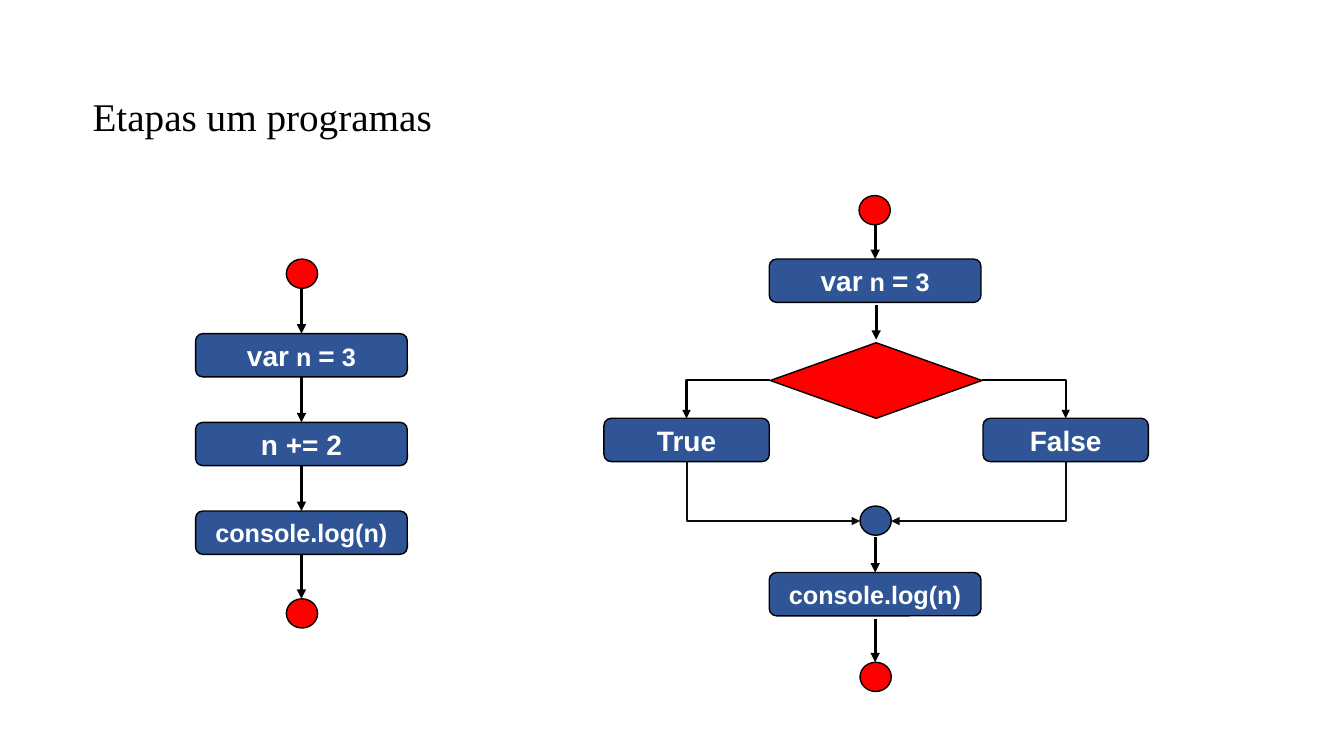
"""Build a slide with a straight and a branching program flow chart."""
from dataclasses import dataclass
from lxml import etree
from pptx import Presentation
from pptx.dml.color import RGBColor
from pptx.enum.shapes import MSO_CONNECTOR, MSO_SHAPE
from pptx.enum.text import MSO_ANCHOR, PP_ALIGN
from pptx.oxml.ns import qn
from pptx.shapes.autoshape import Shape
from pptx.shapes.connector import Connector
from pptx.slide import Slide
from pptx.util import Inches, Pt

RED = RGBColor(0xFF, 0x00, 0x00)
BLUE = RGBColor(0x2F, 0x55, 0x97)
BLACK = RGBColor(0x00, 0x00, 0x00)
DARK = RGBColor(0x0D, 0x0D, 0x0D)
WHITE = RGBColor(0xFF, 0xFF, 0xFF)
DOT = MSO_SHAPE.FLOWCHART_CONNECTOR
BOX = MSO_SHAPE.ROUNDED_RECTANGLE
TEST = MSO_SHAPE.FLOWCHART_DECISION
LINE = MSO_CONNECTOR.STRAIGHT
ELBOW = MSO_CONNECTOR.ELBOW
MIDDLE = MSO_ANCHOR.MIDDLE
CENTER = PP_ALIGN.CENTER
TOP, BOTTOM = 0, 2

Runs = tuple[tuple[str, int], ...]
ASSIGN: Runs = (("var", 20), (" n ", 18), ("=", 20), (" 3", 18))
ADD: Runs = (("n += 2", 20),)
LOG: Runs = (("console.log(n)", 18),)


@dataclass
class Node:
    """A step of a flow chart."""
    key: str
    left: float
    top: float
    width: float = 2.1
    height: float = 0.43
    kind: MSO_SHAPE = BOX
    fill: RGBColor = BLUE
    runs: Runs = ()


@dataclass
class Arrow:
    """A downward arrow, joined to the steps it names."""
    mid: float
    top: float
    foot: float
    source: str = ""
    target: str = ""


@dataclass
class Bend:
    """A link that runs level first and then upright."""
    start: tuple[float, float]
    stop: tuple[float, float]
    color: RGBColor
    tip: str


def dot(key: str, left: float, top: float, fill: RGBColor = RED) -> Node:
    """Describe a round step."""
    return Node(key, left, top, 0.31, 0.29, DOT, fill)


STEP = 0.88
CHAIN = (("set", ASSIGN), ("add", ADD), ("show", LOG))
NODES = [
    dot("start", 2.84, 2.57),
    *(Node(key, 1.94, 3.31 + STEP * i, runs=runs)
      for i, (key, runs) in enumerate(CHAIN)),
    dot("end", 2.84, 5.94),
    dot("begin", 8.52, 1.94),
    Node("assign", 7.63, 2.57, runs=ASSIGN),
    Node("test", 7.64, 3.4, height=0.75, kind=TEST, fill=RED),
    Node("true", 5.99, 4.15, 1.64, runs=(("True", 20),)),
    Node("false", 9.75, 4.15, 1.64, runs=(("False", 20),)),
    dot("merge", 8.53, 5.02, BLUE),
    Node("log", 7.63, 5.68, runs=LOG),
    dot("stop", 8.53, 6.57),
]
KEYS = ["", *(key for key, runs in CHAIN), ""]
ARROWS = [
    *(Arrow(2.99, 2.86 + STEP * i, 3.3 + STEP * i, *pair)
      for i, pair in enumerate(zip(KEYS, KEYS[1:]))),
    Arrow(8.68, 2.23, 2.57, target="assign"),
    Arrow(8.69, 3.03, 3.37),
    Arrow(8.68, 5.33, 5.68, target="log"),
    Arrow(8.68, 6.14, 6.57),
]
BENDS = [
    Bend((7.64, 3.77), (6.81, 4.15), BLACK, "tailEnd"),
    Bend((9.74, 3.77), (10.57, 4.15), BLACK, "tailEnd"),
    Bend((8.84, 5.17), (10.57, 4.58), DARK, "headEnd"),
    Bend((8.53, 5.17), (6.81, 4.58), DARK, "headEnd"),
]


def draw_title(slide: Slide) -> None:
    """Write the heading."""
    box = slide.shapes.add_textbox(
        Inches(0.82), Inches(0.93), Inches(10.29), Inches(0.49))
    frame = box.text_frame
    frame.word_wrap = True
    frame.vertical_anchor = MIDDLE
    frame.text = "Etapas um programas"
    para = frame.paragraphs[0]
    para.line_spacing = 0.9
    font = para.runs[0].font
    font.name, font.size = "Times New Roman", Pt(28)
    font.color.rgb = BLACK


def draw_node(slide: Slide, node: Node) -> Shape:
    """Draw one step with its text."""
    shape = slide.shapes.add_shape(
        node.kind, Inches(node.left), Inches(node.top),
        Inches(node.width), Inches(node.height))
    shape.shadow.inherit = False
    shape.fill.solid()
    shape.fill.fore_color.rgb = node.fill
    shape.line.color.rgb = BLACK
    shape.line.width = Pt(1)
    frame = shape.text_frame
    frame.vertical_anchor = MIDDLE
    para = frame.paragraphs[0]
    para.alignment = CENTER
    for text, size in node.runs:
        run = para.add_run()
        run.text = text
        font = run.font
        font.name, font.size, font.bold = "Arial", Pt(size), True
        font.color.rgb = WHITE
    return shape


def style(link: Connector, color: RGBColor, width: float, tip: str) -> None:
    """Set the line and arrowhead of a link."""
    link.line.color.rgb = color
    link.line.width = Pt(width)
    props = link._element.spPr
    etree.SubElement(props.find(qn("a:ln")), qn(f"a:{tip}"), type="triangle")
    etree.SubElement(props, qn("a:effectLst"))


def draw_arrow(slide: Slide, arrow: Arrow, steps: dict[str, Shape]) -> None:
    """Draw a straight arrow and join its ends."""
    mid = Inches(arrow.mid)
    link = slide.shapes.add_connector(
        LINE, mid, Inches(arrow.top), mid, Inches(arrow.foot))
    if arrow.source:
        link.begin_connect(steps[arrow.source], BOTTOM)
    if arrow.target:
        link.end_connect(steps[arrow.target], TOP)
    style(link, BLACK, 2.25, "tailEnd")


def draw_bend(slide: Slide, bend: Bend) -> None:
    """Draw a link with a single corner."""
    ends = (Inches(n) for n in bend.start + bend.stop)
    link = slide.shapes.add_connector(ELBOW, *ends)
    link._element.spPr.find(qn("a:prstGeom")).set("prst", "bentConnector2")
    style(link, bend.color, 1.5, bend.tip)


def main() -> None:
    """Build and save the deck."""
    deck = Presentation()
    deck.slide_width, deck.slide_height = Inches(13.33), Inches(7.5)
    slide = deck.slides.add_slide(deck.slide_layouts[6])
    draw_title(slide)
    steps = {node.key: draw_node(slide, node) for node in NODES}
    for arrow in ARROWS:
        draw_arrow(slide, arrow, steps)
    for bend in BENDS:
        draw_bend(slide, bend)
    deck.save("out.pptx")


if __name__ == "__main__":
    main()
